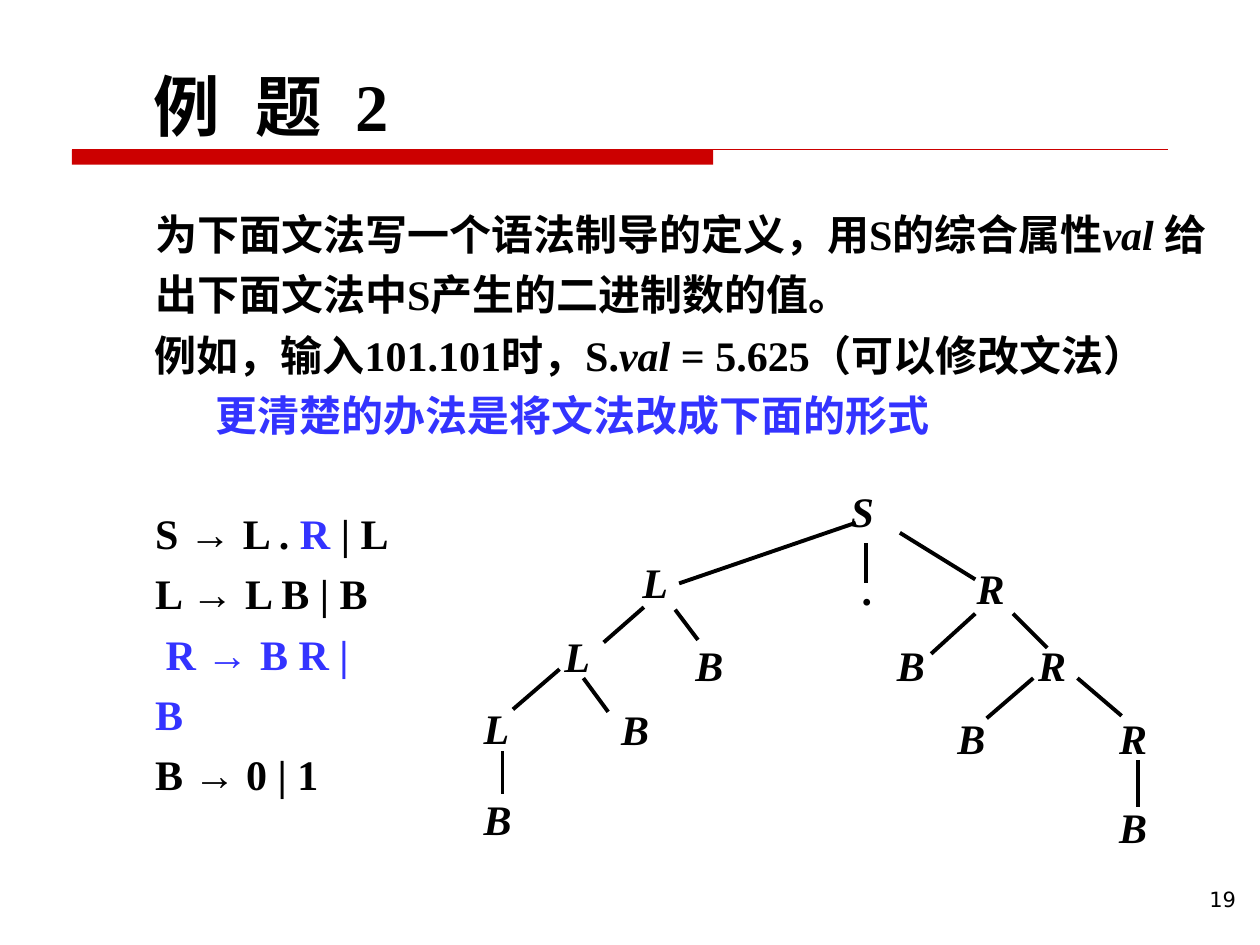
from dataclasses import dataclass
from typing import Optional

from lxml.etree import SubElement
from pptx import Presentation
from pptx.dml.color import RGBColor
from pptx.enum.shapes import MSO_CONNECTOR, MSO_SHAPE
from pptx.oxml.ns import qn
from pptx.util import Cm, Pt

COLORS = {"ink": "000000", "blue": "3333FF", "red": "CC0000"}
HAN, LATIN, ARROW, NUMBER = (
    "Noto Sans CJK SC", "Times New Roman", "Arial", "DejaVu Sans")


@dataclass
class Run:
    text: str
    font: str = LATIN
    color: str = "ink"
    italic: bool = False
    spacing: float = 0


@dataclass
class Line:
    runs: list[Run]
    left: float = 0.03
    first: float = 0
    right: float = 0


@dataclass
class Node:
    symbol: str
    left: float
    top: float


@dataclass
class Branch:
    x1: float
    y1: float
    x2: float
    y2: float


def write(paragraph, text: str, *, font: str = LATIN, size: float = 24,
          color: str = "ink", bold: bool = True, italic: bool = False,
          spacing: float = 0) -> None:
    run = paragraph.add_run()
    run.text = text
    run.font.size = Pt(size)
    run.font.bold = bold
    run.font.italic = italic
    run.font.color.rgb = RGBColor.from_string(COLORS[color])
    run.font.name = font
    properties = run._r.get_or_add_rPr()
    SubElement(properties, qn("a:ea")).set("typeface", font)
    if spacing:
        properties.set("spc", str(round(spacing * 100)))


def add_frame(slide, left: float, top: float, width: float, height: float,
              wrap: bool = True):
    box = slide.shapes.add_textbox(Cm(left), Cm(top), Cm(width), Cm(height))
    frame = box.text_frame
    frame.margin_left = frame.margin_right = Cm(0)
    frame.margin_top = frame.margin_bottom = Cm(0)
    frame.word_wrap = wrap
    return frame


def add_lines(frame, lines: list[Line], pitch: float) -> None:
    for index, line in enumerate(lines):
        paragraph = frame.add_paragraph() if index else frame.paragraphs[0]
        paragraph.line_spacing = Pt(pitch)
        properties = paragraph._p.get_or_add_pPr()
        properties.set("marL", str(Cm(line.left)))
        properties.set("indent", str(Cm(line.first)))
        properties.set("marR", str(Cm(line.right)))
        for run in line.runs:
            write(paragraph, run.text, font=run.font, color=run.color,
                  italic=run.italic, spacing=run.spacing)


def add_node(slide, node: Node) -> None:
    frame = add_frame(slide, node.left, node.top, 0.64, 1.09, wrap=False)
    write(frame.paragraphs[0], node.symbol, italic=True)


def add_line(slide, branch: Branch, color: str = "ink",
             width: float = 2.25) -> None:
    line = slide.shapes.add_connector(
        MSO_CONNECTOR.STRAIGHT, Cm(branch.x1), Cm(branch.y1),
        Cm(branch.x2), Cm(branch.y2))
    line.line.color.rgb = RGBColor.from_string(COLORS[color])
    line.line.width = Pt(width)
    SubElement(line._element.spPr, qn("a:effectLst"))


QUESTION = [
    Line([
        Run("为下面文法写一个语法制导的定义，用", HAN), Run("S"),
        Run("的综合属性", HAN), Run("val ", italic=True),
        Run("给 出下面文法中", HAN), Run("S"),
        Run("产生的二进制数的值。", HAN),
    ]),
    Line([
        Run("例如，输入", HAN), Run("101.101"), Run("时，", HAN), Run("S."),
        Run("val ", italic=True), Run("= 5.625"), Run("（可以修改文法）", HAN),
        Run(" ", HAN, spacing=5.4),
        Run("更清楚的办法是将文法改成下面的形式", HAN, "blue"),
    ], left=1.24, first=-1.22, right=1.27),
]

GRAMMAR = [
    Line([Run("S "), Run("→ ", ARROW), Run("L . "), Run("R ", color="blue"),
          Run("| L")]),
    Line([Run("L "), Run("→ ", ARROW), Run("L B | B")]),
    Line([Run("R ", color="blue"), Run("→ ", ARROW, "blue"),
          Run("B R | B", color="blue")], first=0.21, right=0.4),
    Line([Run("B "), Run("→", ARROW), Run(" 0 | 1")]),
]

NODES = [
    Node("S", 17.15, 9.79), Node(".", 17.4, 11.36),
    Node("L", 12.95, 11.21), Node("L", 11.38, 12.71),
    Node("B", 14.02, 12.89), Node("L", 9.75, 14.16),
    Node("B", 12.52, 14.18), Node("B", 9.75, 15.99),
    Node("R", 19.69, 11.34), Node("R", 20.93, 12.89),
    Node("B", 18.08, 12.89), Node("R", 22.56, 14.36),
    Node("B", 19.3, 14.36), Node("B", 22.56, 16.16),
]

BRANCHES = [
    # From the root
    Branch(17.25, 10.54, 13.69, 11.76), Branch(17.45, 10.95, 17.45, 11.76),
    Branch(18.14, 10.74, 19.66, 11.68),
    # Integer part
    Branch(12.98, 12.24, 12.17, 12.95), Branch(13.61, 12.29, 14.07, 12.9),
    Branch(11.28, 13.49, 10.34, 14.3), Branch(11.76, 13.67, 12.26, 14.35),
    Branch(10.13, 15.14, 10.13, 16),
    # Fraction part
    Branch(19.66, 12.37, 18.77, 13.18), Branch(20.42, 12.37, 21.11, 13.06),
    Branch(20.83, 13.67, 19.89, 14.48), Branch(21.72, 13.67, 22.61, 14.43),
    Branch(22.94, 15.32, 22.94, 16.26),
]


def main() -> None:
    presentation = Presentation()
    presentation.slide_width = Cm(25.4)
    presentation.slide_height = Cm(19.05)
    slide = presentation.slides.add_slide(presentation.slide_layouts[6])

    # Red bar and rule under the title
    bar = slide.shapes.add_shape(
        MSO_SHAPE.RECTANGLE, Cm(1.45), Cm(3.02), Cm(12.93), Cm(0.3))
    bar.shadow.inherit = False
    bar.fill.solid()
    bar.fill.fore_color.rgb = RGBColor.from_string(COLORS["red"])
    bar.line.fill.background()
    add_line(slide, Branch(1.45, 3.02, 23.55, 3.02), "red", 0.75)

    # Title, with its words on tab stops
    title = add_frame(slide, 3.1, 1.27, 6, 1.68).paragraphs[0]
    title.line_spacing = Pt(47)
    tabs = SubElement(title._p.get_or_add_pPr(), qn("a:tabLst"))
    for stop in (2.06, 4.06):
        tab = SubElement(tabs, qn("a:tab"))
        tab.set("pos", str(Cm(stop)))
        tab.set("algn", "l")
    write(title, "例\t题\t", font=HAN, size=38)
    write(title, "2", size=38)

    # Question and grammar
    add_lines(add_frame(slide, 3.1, 4, 21.36, 4.95), QUESTION, 34.5)
    add_lines(add_frame(slide, 3.1, 10.03, 4.8, 6.1), GRAMMAR, 34.5)

    # Parse tree
    for node in NODES:
        add_node(slide, node)
    for branch in BRANCHES:
        add_line(slide, branch)

    # Slide number
    number = add_frame(slide, 24.38, 17.87, 0.7, 0.58, wrap=False)
    write(number.paragraphs[0], "19", font=NUMBER, size=12, bold=False)

    presentation.save("out.pptx")


if __name__ == "__main__":
    main()
